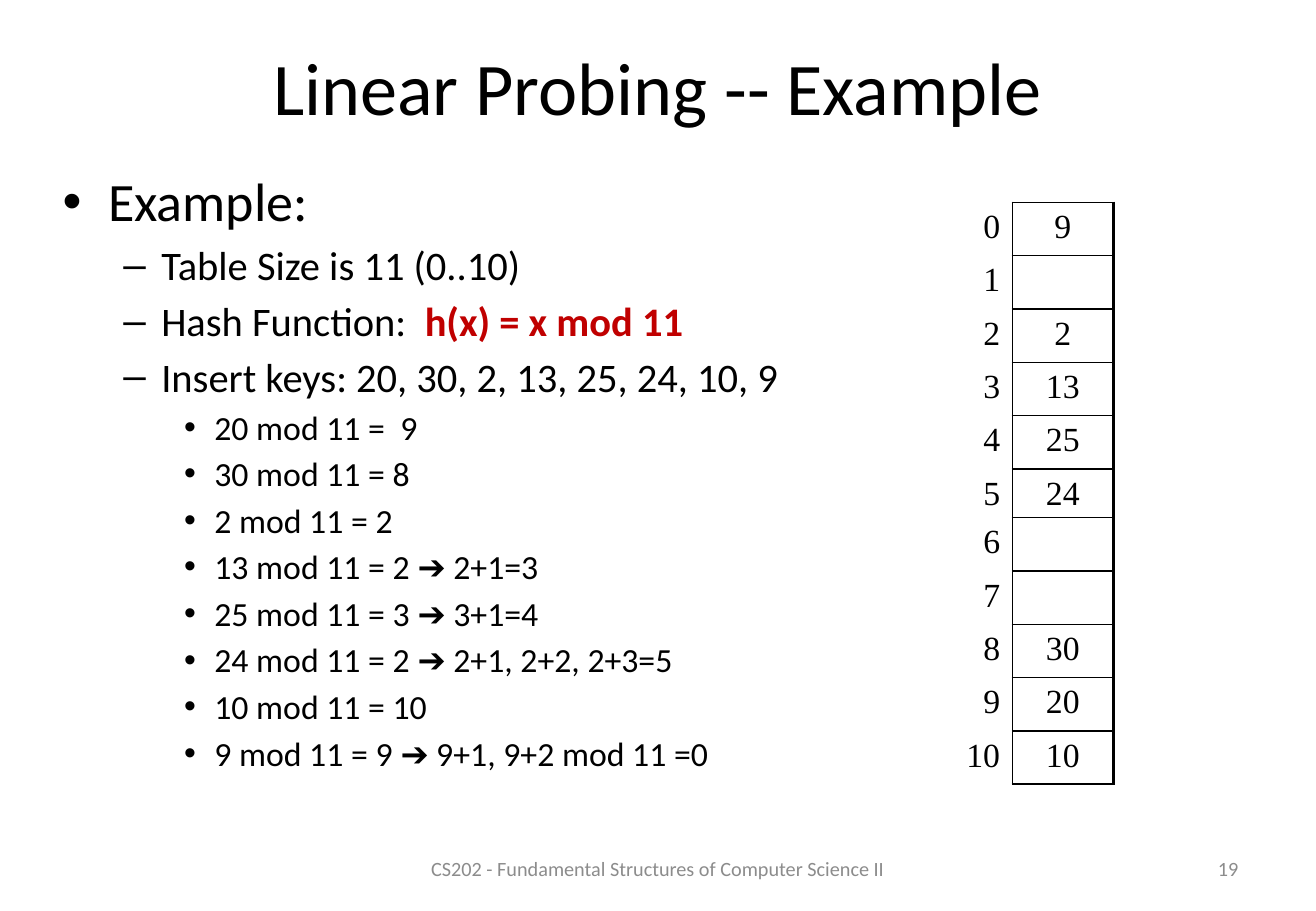
from lxml import etree
from pptx import Presentation
from pptx.dml.color import RGBColor
from pptx.enum.text import MSO_ANCHOR, PP_ALIGN
from pptx.oxml.ns import qn
from pptx.util import Pt

LEFT, CENTER, RIGHT = PP_ALIGN.LEFT, PP_ALIGN.CENTER, PP_ALIGN.RIGHT
TOP, MIDDLE = MSO_ANCHOR.TOP, MSO_ANCHOR.MIDDLE
COLORS = {"ink": "000000", "formula": "C00000", "footer": "8C8C8C"}
SANS, SERIF = "Calibri", "Times New Roman"

# Outline level: (bullet, text size, left margin, hanging indent)
LEVELS = [("•", 32, 27, 27), ("–", 24, 58.5, 22.5), ("•", 20, 90, 18)]
OUTLINE = [
    (0, ["Example:"]),
    (1, ["Table Size is 11 (0..10)"]),
    (1, ["Hash Function:  ", "h(x) = x mod 11"]),
    (1, ["Insert keys: 20, 30, 2, 13, 25, 24, 10, 9"]),
    (2, ["20 mod 11 =  9"]),
    (2, ["30 mod 11 = 8"]),
    (2, ["2 mod 11 = 2"]),
    (2, ["13 mod 11 = 2 ➔ 2+1=3"]),
    (2, ["25 mod 11 = 3 ➔ 3+1=4"]),
    (2, ["24 mod 11 = 2 ➔ 2+1, 2+2, 2+3=5"]),
    (2, ["10 mod 11 = 10"]),
    (2, ["9 mod 11 = 9 ➔ 9+1, 9+2 mod 11 =0"]),
]
HASH_SLOTS = ["9", "", "2", "13", "25", "24", "", "", "30", "20", "10"]
ROW_HEIGHT, SHORT_ROW_HEIGHT, SHORT_ROW = 31.6, 29, 5
SLOT_BORDERS = {"a:lnL": 1, "a:lnR": 2.25, "a:lnT": 1, "a:lnB": 1}


def add_run(paragraph, text, size, font=SANS, color="ink", bold=False):
    run = paragraph.add_run()
    run.text = text
    styles = {"name": font, "size": Pt(size), "bold": bold}
    for attribute, value in styles.items():
        setattr(run.font, attribute, value)
    run.font.color.rgb = RGBColor.from_string(COLORS[color])


def add_text_frame(slide, box, anchor):
    frame = slide.shapes.add_textbox(*map(Pt, box)).text_frame
    frame.word_wrap = True
    frame.vertical_anchor = anchor
    return frame


def add_line_of_text(slide, box, text, size, align, color="ink"):
    paragraph = add_text_frame(slide, box, MIDDLE).paragraphs[0]
    paragraph.alignment = align
    add_run(paragraph, text, size, color=color)


def set_bullet(paragraph, bullet, margin, hanging):
    properties = paragraph._p.get_or_add_pPr()
    properties.set("marL", str(Pt(margin)))
    properties.set("indent", str(-Pt(hanging)))
    etree.SubElement(properties, qn("a:buFont"), typeface="Arial")
    etree.SubElement(properties, qn("a:buChar"), char=bullet)


def add_outline(slide, box):
    frame = add_text_frame(slide, box, TOP)
    for number, (level, parts) in enumerate(OUTLINE):
        paragraph = frame.add_paragraph() if number else frame.paragraphs[0]
        bullet, size, margin, hanging = LEVELS[level]
        paragraph.level = level
        paragraph.alignment = LEFT
        paragraph.space_before = Pt(size * 0.18)
        set_bullet(paragraph, bullet, margin, hanging)
        add_run(paragraph, parts[0], size)
        for formula in parts[1:]:
            add_run(paragraph, formula, size, color="formula", bold=True)


def set_borders(cell, borders):
    properties = cell._tc.get_or_add_tcPr()
    for side, width in borders.items():
        line = etree.SubElement(properties, qn(side), w=str(Pt(width)))
        fill = etree.SubElement(line, qn("a:solidFill"))
        etree.SubElement(fill, qn("a:srgbClr"), val=COLORS["ink"])


def fill_cell(cell, text, align, borders):
    cell.margin_top, cell.margin_bottom = Pt(3.6), Pt(0)
    set_borders(cell, borders)
    cell.fill.background()
    paragraph = cell.text_frame.paragraphs[0]
    paragraph.alignment = align
    if text:
        add_run(paragraph, text, 20, font=SERIF)
    else:
        paragraph.font.size = Pt(20)


def add_hash_table(slide, left, top):
    index_width, slot_width = 42, 60
    row_count = len(HASH_SLOTS)
    table = slide.shapes.add_table(
        row_count, 2, Pt(left), Pt(top),
        Pt(index_width + slot_width), Pt(ROW_HEIGHT * row_count)).table
    table.first_row = table.horz_banding = False
    for column, width in zip(table.columns, (index_width, slot_width)):
        column.width = Pt(width)
    for index, key in enumerate(HASH_SLOTS):
        height = SHORT_ROW_HEIGHT if index == SHORT_ROW else ROW_HEIGHT
        table.rows[index].height = Pt(height)
        fill_cell(table.cell(index, 0), str(index), RIGHT, {"a:lnR": 1})
        fill_cell(table.cell(index, 1), key, CENTER, SLOT_BORDERS)


def main():
    deck = Presentation()
    deck.slide_width, deck.slide_height = Pt(780), Pt(540)
    slide = deck.slides.add_slide(deck.slide_layouts[6])
    add_line_of_text(slide, (39, 18, 702, 66), "Linear Probing -- Example", 44, CENTER)
    add_outline(slide, (30, 96, 486, 402))
    add_line_of_text(slide, (246, 500.5, 288, 28.75),
                     "CS202 - Fundamental Structures of Computer Science II",
                     12, CENTER, "footer")
    add_line_of_text(slide, (559, 500.5, 182, 28.75), "19", 12, RIGHT, "footer")
    add_hash_table(slide, 558, 120)
    deck.save("out.pptx")


if __name__ == "__main__":
    main()
